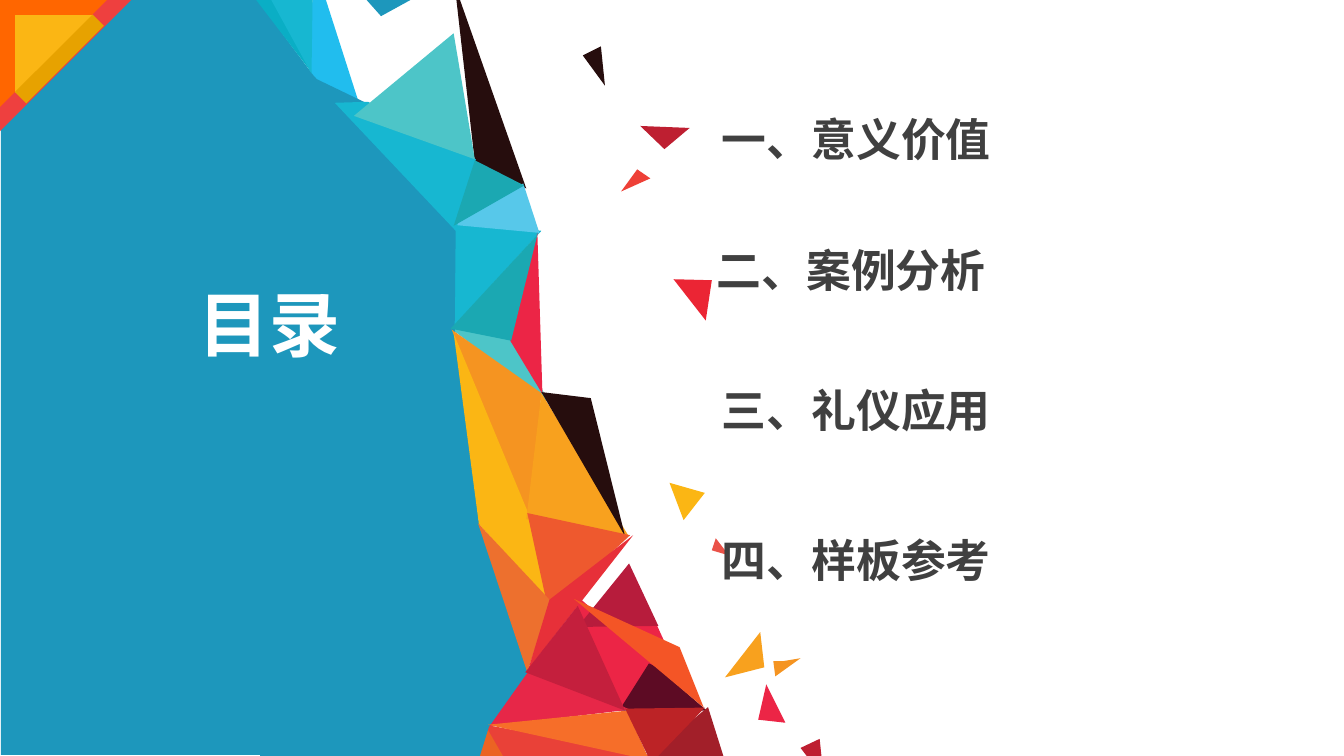
from dataclasses import dataclass

from lxml.etree import SubElement
from pptx import Presentation
from pptx.dml.color import RGBColor
from pptx.enum.shapes import MSO_SHAPE as Preset
from pptx.enum.text import MSO_ANCHOR as Anchor, MSO_AUTO_SIZE as AutoSize, PP_ALIGN as Align
from pptx.oxml.ns import qn
from pptx.util import Pt

PX = 9144  # EMU per px, 100 px to the inch
CJK_FONT = "Noto Sans CJK SC"
LATIN_FONT = "Arial"

COLORS = {
    "white": "FFFFFF", "text": "404040", "blue": "1D97BC", "azure": "21BDEE",
    "sky": "57C8EA", "cyan": "17B7D1", "deep cyan": "0AAEC5", "teal": "1BA8B2",
    "mint": "4DC5C8", "black": "260D0D", "plum": "5D0B24", "pink": "EC2546",
    "rose": "E72748", "wine": "B71C3C", "crimson": "C41F3D", "ruby": "BE1F31",
    "maroon": "A21F29", "brick": "BC2326", "red": "E73039", "bright red": "EB2534",
    "tomato": "E94138", "coral": "EE4037", "salmon": "EA5248", "rust": "EB6323",
    "copper": "ED702E", "flame": "EE592E", "vermilion": "F45526", "tangerine": "F66E29",
    "orange": "F59421", "amber": "F8A11E", "yellow": "FBB614", "gold": "E7A200",
    "corner red": "EE403F", "corner orange": "FF6600",
}


@dataclass
class Facet:
    color: str
    points: list[tuple[int, int]]
    rotation: float = 0


@dataclass
class Block:
    preset: Preset
    color: str
    box: tuple[int, int, int, int]
    rotation: float = 0


@dataclass
class Label:
    text: str
    box: tuple[int, int, int, int]
    size: float = 32
    color: str = "text"
    font: str = CJK_FONT
    centered: bool = False


PANEL = Block(Preset.RECTANGLE, "blue", (1, -1, 274, 750))

# Faceted mountain edge, back to front
MOUNTAIN = [
    Facet("pink", [(563, 583), (619, 705), (653, 662)]),
    Facet("plum", [(614, 705), (701, 705), (645, 656)]),
    Facet("black", [(451, -15), (522, 187), (471, 161)]),
    Facet("maroon", [(700, 700), (722, 753), (646, 753)], 5.1),
    Facet("pink", [(567, 620), (676, 674), (651, 619)]),
    Facet("tomato", [(476, 718), (491, 750), (649, 750)]),
    Facet("rose", [(525, 663), (481, 721), (625, 704)]),
    Facet("mint", [(446, 325), (512, 338), (545, 400)]),
    Facet("cyan", [(451, 218), (537, 229), (447, 327)]),
    Facet("sky", [(449, 223), (519, 182), (535, 231)]),
    Facet("rust", [(481, 719), (474, 752), (500, 752)]),
    Facet("azure", [(310, -6), (322, -4), (355, 99), (307, 76)]),
    Facet("blue", [(256, 1), (311, 75), (452, 228), (451, 326), (475, 517),
                   (524, 666), (485, 721), (476, 750), (258, 753)]),
    Facet("deep cyan", [(251, -4), (270, -1), (309, 72)]),
    Facet("cyan", [(269, 0), (310, -2), (309, 73)]),
    Facet("blue", [(311, 77), (365, 103), (333, 104)]),
    Facet("cyan", [(365, 101), (472, 158), (452, 229), (332, 102)]),
    Facet("teal", [(471, 159), (520, 184), (450, 224)]),
    Facet("pink", [(533, 231), (506, 338), (538, 391)]),
    Facet("mint", [(450, 33), (471, 158), (351, 115)]),
    Facet("teal", [(533, 233), (507, 338), (447, 326)]),
    Facet("orange", [(448, 327), (537, 390), (525, 516)]),
    Facet("yellow", [(450, 331), (475, 520), (545, 598), (526, 514)]),
    Facet("amber", [(537, 390), (522, 515), (623, 531)]),
    Facet("black", [(537, 389), (586, 395), (620, 532)]),
    Facet("flame", [(523, 509), (544, 606), (625, 531)]),
    Facet("copper", [(474, 519), (546, 596), (523, 667)]),
    Facet("red", [(545, 595), (628, 531), (524, 664)]),
    Facet("wine", [(573, 622), (653, 621), (624, 559)]),
    Facet("crimson", [(573, 601), (620, 705), (521, 667)]),
    Facet("vermilion", [(569, 594), (698, 702), (674, 642)]),
    Facet("tangerine", [(484, 719), (622, 705), (644, 754)]),
    Facet("brick", [(620, 703), (699, 702), (646, 757)]),
]

# Loose triangles beside the mountain
FRAGMENTS = [
    Facet("blue", [(361, -3), (378, 16), (418, -6)]),
    Facet("coral", [(632, 168), (616, 190), (645, 177)]),
    Facet("bright red", [(668, 277), (706, 278), (700, 318)]),
    Facet("ruby", [(635, 125), (684, 127), (659, 148)]),
    Facet("yellow", [(664, 479), (699, 489), (678, 516)]),
    Facet("amber", [(754, 627), (719, 672), (758, 662)]),
    Facet("pink", [(760, 679), (752, 714), (779, 717)]),
    Facet("orange", [(767, 656), (776, 656), (794, 653), (769, 671)]),
    Facet("salmon", [(710, 534), (723, 551), (706, 546)]),
    Facet("black", [(596, 46), (578, 55), (600, 85)]),
    Facet("ruby", [(813, 733), (794, 742), (817, 772)]),
]

CORNER = [
    Block(Preset.RIGHT_TRIANGLE, "corner red", (0, 0, 130, 130), 90),
    Block(Preset.RIGHT_TRIANGLE, "corner orange", (0, 0, 106, 106), 90),
    Block(Preset.RIGHT_TRIANGLE, "yellow", (15, 15, 77, 77), 90),
    Block(Preset.RECTANGLE, "gold", (51, 4, 16, 109), 45),
]

TITLE = Label("目录", (187, 273, 161, 95), 50.6, "white", LATIN_FONT, centered=True)
CONTENTS = [
    Label("一、意义价值", (706, 106, 584, 118)),
    Label("二、案例分析", (701, 236, 584, 64)),
    Label("三、礼仪应用", (706, 375, 584, 118)),
    Label("四、样板参考", (706, 524, 584, 64)),
]


def rgb(color: str) -> RGBColor:
    return RGBColor.from_string(COLORS[color])


def paint(shape, color: str, rotation: float) -> None:
    shape.shadow.inherit = False
    shape.fill.solid()
    shape.fill.fore_color.rgb = rgb(color)
    shape.line.fill.background()
    shape.rotation = rotation


def draw_facet(slide, facet: Facet) -> None:
    builder = slide.shapes.build_freeform(*facet.points[0], scale=PX)
    builder.add_line_segments(facet.points[1:], close=True)
    paint(builder.convert_to_shape(), facet.color, facet.rotation)


def draw_block(slide, block: Block) -> None:
    shape = slide.shapes.add_shape(block.preset, *(PX * side for side in block.box))
    paint(shape, block.color, block.rotation)


def write_label(shape, label: Label) -> None:
    shape.left, shape.top, shape.width, shape.height = (PX * side for side in label.box)
    frame = shape.text_frame
    frame.word_wrap = not label.centered
    frame.auto_size = AutoSize.SHAPE_TO_FIT_TEXT
    frame.vertical_anchor = Anchor.TOP
    paragraph = frame.paragraphs[0]
    paragraph.alignment = Align.CENTER if label.centered else Align.LEFT
    run = paragraph.add_run()
    run.text = label.text
    font = run.font
    font.name, font.size, font.bold = label.font, Pt(label.size), True
    font.color.rgb = rgb(label.color)
    SubElement(run._r.get_or_add_rPr(), qn("a:ea"), typeface=CJK_FONT)


def main() -> None:
    presentation = Presentation()
    presentation.slide_width, presentation.slide_height = 1333 * PX, 750 * PX
    slide = presentation.slides.add_slide(presentation.slide_layouts[5])

    # Artwork
    draw_block(slide, PANEL)
    for facet in MOUNTAIN + FRAGMENTS:
        draw_facet(slide, facet)
    for block in CORNER:
        draw_block(slide, block)

    # Title, raised above the artwork
    title = slide.shapes.title
    title.element.getparent().append(title.element)
    write_label(title, TITLE)

    # Contents
    for label in CONTENTS:
        write_label(slide.shapes.add_textbox(0, 0, PX, PX), label)

    presentation.save("out.pptx")


if __name__ == "__main__":
    main()
